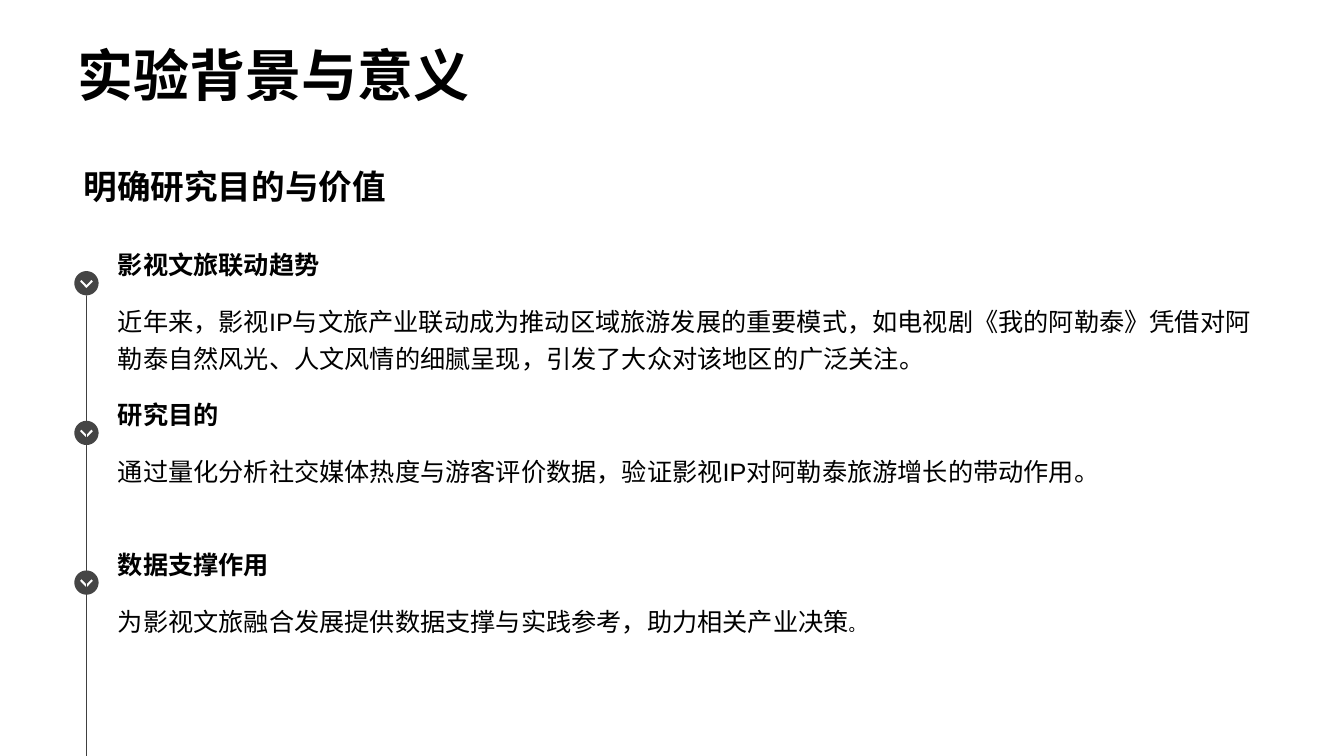
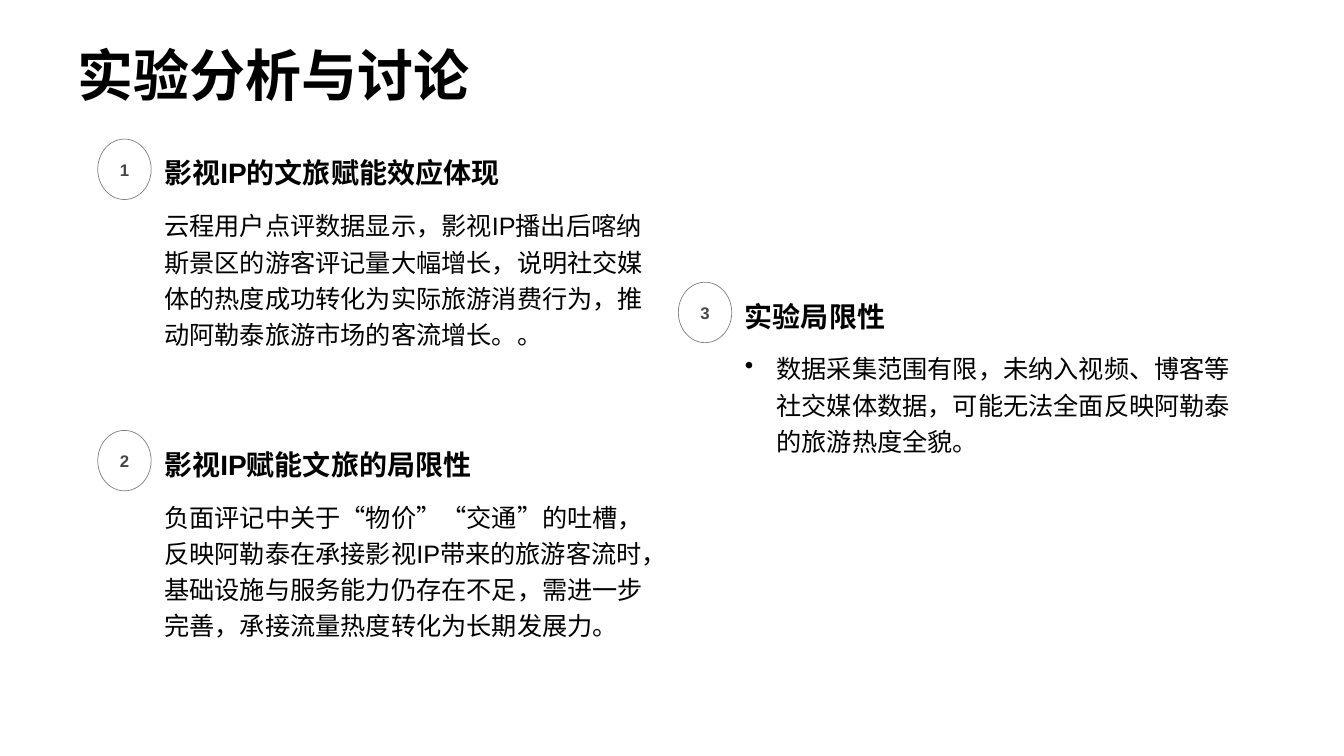
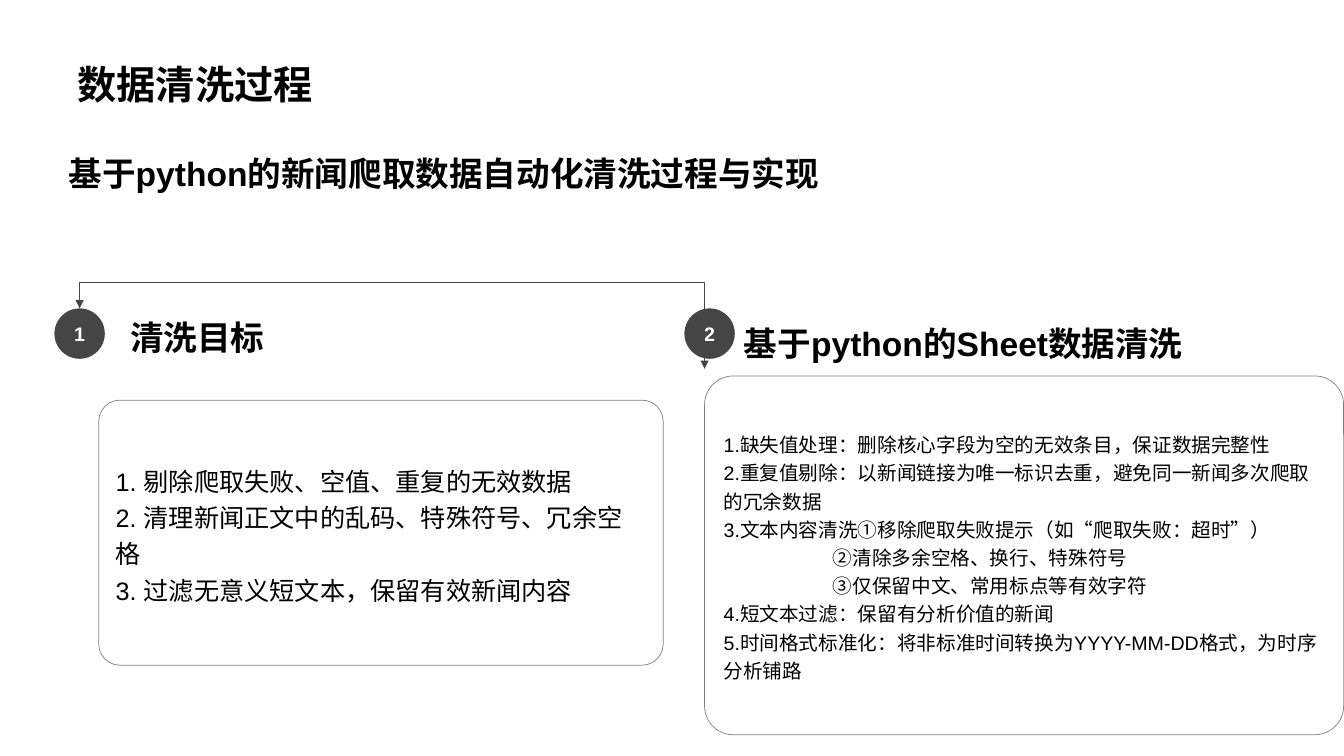
from dataclasses import dataclass
from math import cos, pi, sin

from lxml.etree import SubElement
from pptx import Presentation
from pptx.dml.color import RGBColor
from pptx.enum.shapes import MSO_CONNECTOR as Connector
from pptx.enum.shapes import MSO_SHAPE as Preset
from pptx.enum.text import MSO_ANCHOR as Anchor
from pptx.enum.text import MSO_AUTO_SIZE as AutoSize
from pptx.enum.text import PP_ALIGN as Align
from pptx.oxml.ns import qn
from pptx.util import Emu, Pt

# Square grid: 160 columns by 90 rows, twelve cells to the inch.
CELL = 76200
COLUMNS, ROWS = 160, 90
INSET = 0.6
COLORS = {"ink": "000000", "accent": "454545", "paper": "FFFFFF"}
LATIN, HAN = "Arial", "Noto Sans CJK SC"
TITLE_ONLY = 5


@dataclass(frozen=True)
class Area:
    """A rectangle in grid cells."""
    left: float
    top: float
    width: float
    height: float

    def emu(self) -> tuple:
        return tuple(cells(v) for v in (self.left, self.top, self.width, self.height))


@dataclass(frozen=True)
class Style:
    size: float
    bold: bool = False
    color: str = "ink"
    spacing: float = 1.2
    anchor: Anchor = Anchor.MIDDLE
    align: Align = Align.LEFT
    wrap: bool = True


@dataclass(frozen=True)
class Finding:
    left: float
    top: float
    heading: str
    body: str
    body_rows: float = 20.64
    bulleted: bool = False


@dataclass(frozen=True)
class Step:
    badge_left: float
    heading: Area
    heading_text: str
    card: Area
    size: float
    lines: tuple
    indented: tuple = ()


TITLE_AREA = Area(8.64, 1.68, 142.56, 11.76)
SUBTITLE = Style(24, bold=True, spacing=1)
TOPIC = Style(18, bold=True)
BODY = Style(18, anchor=Anchor.TOP)
FINDING_HEADING = Style(20, bold=True)
STEP_HEADING = Style(24, bold=True)
RING_LABEL = Style(12, True, "accent", 1, align=Align.CENTER, wrap=False)
DISC_LABEL = Style(14, True, "paper", 1, align=Align.CENTER, wrap=False)

TOPICS = (
    ("影视文旅联动趋势", "近年来，影视IP与文旅产业联动成为推动区域旅游发展的重要模式，如电视剧《我的阿勒泰》"
     "凭借对阿勒泰自然风光、人文风情的细腻呈现，引发了大众对该地区的广泛关注。"),
    ("研究目的", "通过量化分析社交媒体热度与游客评价数据，验证影视IP对阿勒泰旅游增长的带动作用。"),
    ("数据支撑作用", "为影视文旅融合发展提供数据支撑与实践参考，助力相关产业决策"),
)

FINDINGS = (
    Finding(11.64, 16.56, "影视IP的文旅赋能效应体现",
            "云程用户点评数据显示，影视IP播出后喀纳斯景区的游客评记量大幅增长，"
            "说明社交媒体的热度成功转化为实际旅游消费行为，推动阿勒泰旅游市场的客流增长。。"),
    Finding(11.64, 51.24, "影视IP赋能文旅的局限性",
            "负面评记中关于“物价”“交通”的吐槽，反映阿勒泰在承接影视IP带来的旅游客流时，"
            "基础设施与服务能力仍存在不足，需进一步完善，承接流量热度转化为长期发展力。"),
    Finding(80.76, 33.6, "实验局限性",
            "数据采集范围有限，未纳入视频、博客等社交媒体数据，可能无法全面反映阿勒泰的旅游热度全貌。",
            38.28, True),
)

STEPS = (
    Step(6.48, Area(14.88, 36.24, 60.96, 6.72), "清洗目标",
         Area(11.76, 47.64, 67.2, 31.56), 18,
         ("1. 剔除爬取失败、空值、重复的无效数据",
          "2. 清理新闻正文中的乱码、特殊符号、冗余空格",
          "3. 过滤无意义短文本，保留有效新闻内容")),
    Step(81.48, Area(87.96, 36.96, 60.96, 6.72), "基于python的Sheet数据清洗",
         Area(83.88, 44.76, 76.08, 42.72), 14,
         ("1.缺失值处理：删除核心字段为空的无效条目，保证数据完整性",
          "2.重复值剔除：以新闻链接为唯一标识去重，避免同一新闻多次爬取的冗余数据",
          "3.文本内容清洗①移除爬取失败提示（如“爬取失败：超时”）",
          "②清除多余空格、换行、特殊符号",
          "③仅保留中文、常用标点等有效字符",
          "4.短文本过滤：保留有分析价值的新闻",
          "5.时间格式标准化：将非标准时间转换为YYYY-MM-DD格式，为时序分析铺路"),
         indented=(3, 4)),
)


def cells(count: float) -> Emu:
    return Emu(round(count * CELL))


def rgb(name: str) -> RGBColor:
    return RGBColor.from_string(COLORS[name])


def format_span(span, style: Style) -> None:
    font = span.font
    font.size, font.bold, font.name = Pt(style.size), style.bold, LATIN
    font.color.rgb = rgb(style.color)
    SubElement(span._r.get_or_add_rPr(), qn("a:ea")).set("typeface", HAN)


def write(shape, lines: tuple, style: Style, inset: float = INSET) -> list:
    """Fill a shape with one paragraph a line and return the paragraphs."""
    frame = shape.text_frame
    frame.text = "\n".join(lines)
    frame.word_wrap, frame.auto_size = style.wrap, AutoSize.NONE
    frame.vertical_anchor = style.anchor
    frame.margin_left = frame.margin_right = cells(inset)
    frame.margin_top = frame.margin_bottom = cells(INSET)
    for para in frame.paragraphs:
        para.alignment, para.line_spacing = style.align, style.spacing
        for span in para.runs:
            format_span(span, style)
    return list(frame.paragraphs)


def add_text(page, area: Area, text: str, style: Style):
    """Add a one-paragraph text box and return its paragraph."""
    return write(page.shapes.add_textbox(*area.emu()), (text,), style)[0]


def add_page(deck, title: str, size: float = 40):
    page = deck.slides.add_slide(deck.slide_layouts[TITLE_ONLY])
    holder = page.shapes.title
    holder.left, holder.top, holder.width, holder.height = TITLE_AREA.emu()
    write(holder, (title,), Style(size, True, spacing=1, anchor=Anchor.BOTTOM))
    return page


def format_line(line, color: str, opacity: int = 100) -> None:
    line.color.rgb, line.width = rgb(color), Pt(0.5)
    if opacity < 100:
        tint = line._get_or_add_ln().find(".//" + qn("a:srgbClr"))
        SubElement(tint, qn("a:alpha")).set("val", str(opacity * 1000))


def add_panel(page, preset: Preset, area: Area, fill: str, outlined: bool = True):
    panel = page.shapes.add_shape(preset, *area.emu())
    panel.shadow.inherit = False
    panel.fill.solid()
    panel.fill.fore_color.rgb = rgb(fill)
    if outlined:
        format_line(panel.line, "ink", 50)
    else:
        panel.line.fill.background()
    return panel


def indent(para, left: float, first: float = 0) -> None:
    properties = para._p.get_or_add_pPr()
    properties.set("marL", str(cells(left)))
    properties.set("indent", str(cells(first)))


def add_chevron_dot(page, x: float, y: float) -> None:
    """Draw a disc with a downward chevron cut out of it."""
    radius, steps = 1.44, 48
    rim = [(radius * cos(2 * pi * i / steps), radius * sin(2 * pi * i / steps)) for i in range(steps)]
    chevron = [(0.78, -0.2), (0, 0.6), (-0.78, -0.2), (-0.6, -0.42), (0, 0.2), (0.6, -0.42)]
    rim, chevron = ([(cells(x + dx), cells(y + dy)) for dx, dy in ring] for ring in (rim, chevron))
    builder = page.shapes.build_freeform(*rim[0])
    builder.add_line_segments(rim[1:], close=True)
    builder.move_to(*chevron[0])
    builder.add_line_segments(chevron[1:], close=True)
    dot = builder.convert_to_shape()
    dot.shadow.inherit = False
    dot.fill.solid()
    dot.fill.fore_color.rgb = rgb("accent")
    dot.line.fill.background()


def add_bracket(page, points: list) -> None:
    """Draw an open path with an arrowhead at both ends."""
    corners = [(cells(x), cells(y)) for x, y in points]
    builder = page.shapes.build_freeform(*corners[0])
    builder.add_line_segments(corners[1:], close=False)
    bracket = builder.convert_to_shape()
    bracket.shadow.inherit = False
    bracket.fill.background()
    format_line(bracket.line, "accent")
    for end in ("a:headEnd", "a:tailEnd"):
        SubElement(bracket.line._get_or_add_ln(), qn(end)).set("type", "triangle")


def build_background(deck) -> None:
    page = add_page(deck, "实验背景与意义")
    add_text(page, Area(9.36, 17.4, 141.12, 9.48), "明确研究目的与价值", SUBTITLE)
    axis, first, pitch = 10.3, 28.44, 17.82
    rail = page.shapes.add_connector(
        Connector.STRAIGHT, cells(axis), cells(first + 6.72), cells(axis), cells(ROWS))
    SubElement(rail._element.spPr, qn("a:effectLst"))
    format_line(rail.line, "ink", 75)
    for index, (heading, body) in enumerate(TOPICS):
        top = first + index * pitch
        add_chevron_dot(page, axis, top + 5.28)
        add_text(page, Area(13.44, top, 136.92, 5.4), heading, TOPIC)
        para = add_text(page, Area(13.44, top + 6.76, 136.92, 10), body, BODY)
    stop = para.add_run()
    stop.text = "。"
    format_span(stop, Style(12))


def build_discussion(deck) -> None:
    page = add_page(deck, "实验分析与讨论")
    for number, item in enumerate(FINDINGS, 1):
        ring = add_panel(page, Preset.OVAL, Area(item.left, item.top, 6.36, 7.2), "paper")
        write(ring, (str(number),), RING_LABEL)
        left = item.left + 7.32
        add_text(page, Area(left, item.top, 59.88, 7.2), item.heading, FINDING_HEADING)
        para = add_text(page, Area(left, item.top + 7.2, 59.88, item.body_rows), item.body, BODY)
        if item.bulleted:
            indent(para, 3.75, -3.75)
            SubElement(para._p.get_or_add_pPr(), qn("a:buChar")).set("char", "•")


def build_cleaning(deck) -> None:
    page = add_page(deck, "数据清洗过程", 28)
    add_text(page, Area(7.56, 15.48, 140.4, 10.2), "基于python的新闻爬取数据自动化清洗过程与实现", SUBTITLE)
    for number, step in enumerate(STEPS, 1):
        add_text(page, step.heading, step.heading_text, STEP_HEADING)
        disc = add_panel(page, Preset.OVAL, Area(step.badge_left, 36.72, 6, 6), "accent", False)
        write(disc, (str(number),), DISC_LABEL)
        card = add_panel(page, Preset.ROUNDED_RECTANGLE, step.card, "paper")
        card.adjustments[0] = 0.08
        paras = write(card, step.lines, Style(step.size), inset=1.28)
        for index in step.indented:
            indent(paras[index], 13)
    add_bracket(page, [(9.48, 36.72), (9.48, 33.6), (83.88, 33.6), (83.88, 43.92)])


def main() -> None:
    deck = Presentation()
    deck.slide_width, deck.slide_height = cells(COLUMNS), cells(ROWS)
    build_background(deck)
    build_discussion(deck)
    build_cleaning(deck)
    deck.save("out.pptx")


if __name__ == "__main__":
    main()
